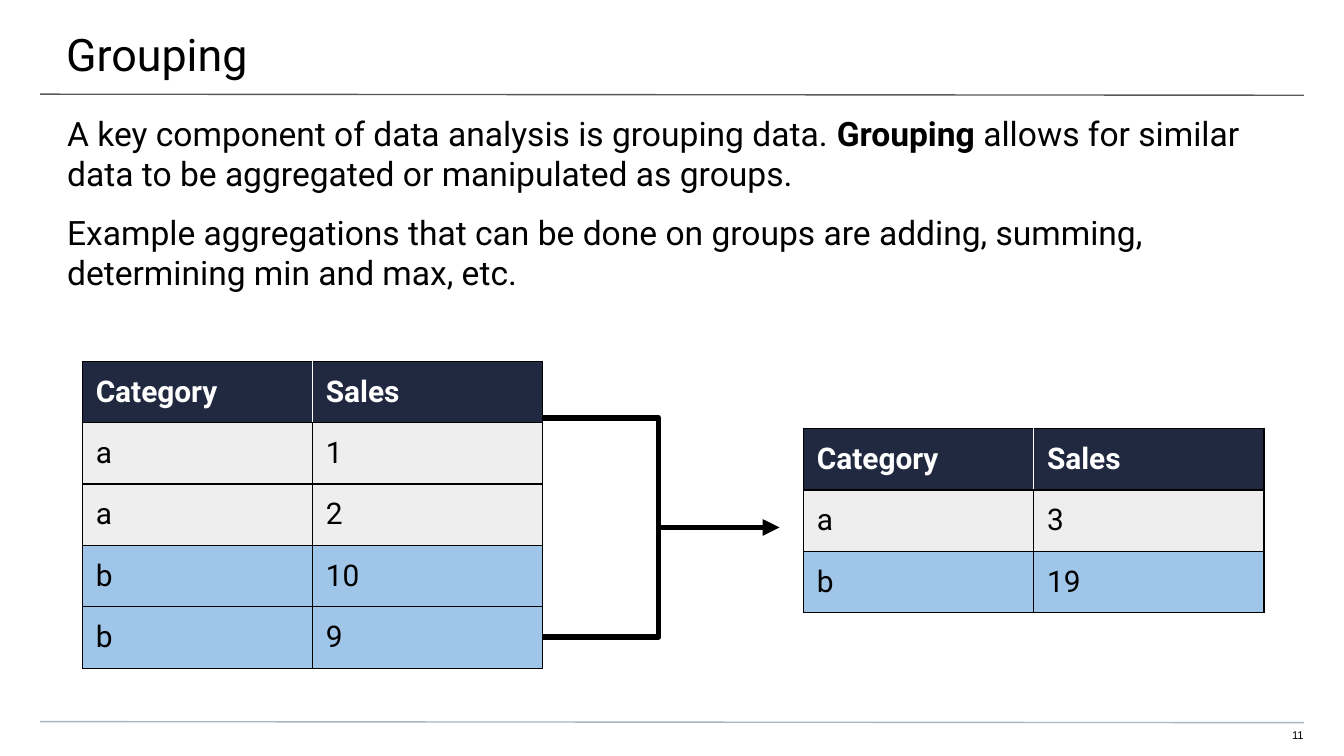
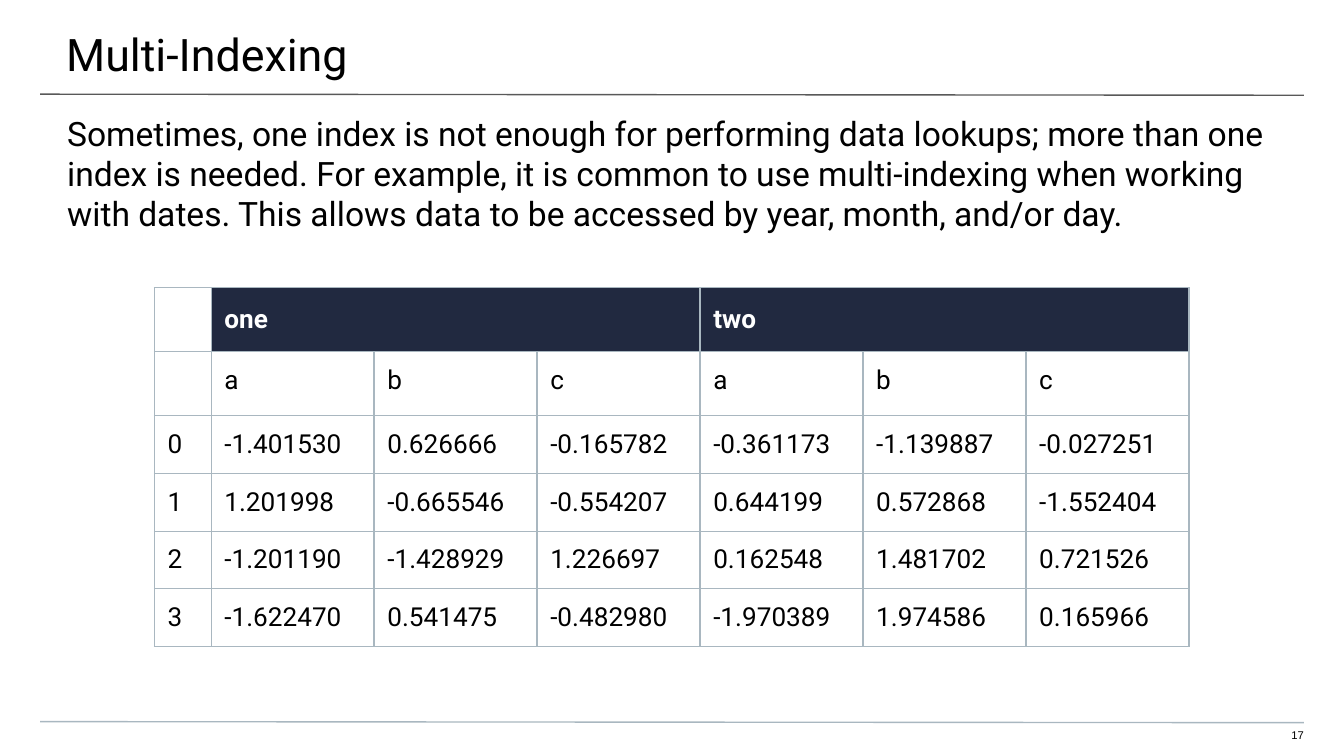
"""Builds two slides on grouping and multi-indexing of data."""
from lxml import etree
from pptx import Presentation
from pptx import util as u
from pptx.dml.color import RGBColor
from pptx.enum import shapes, text
from pptx.oxml import ns

COLOURS = {"ink": "000000", "paper": "FFFFFF", "navy": "212940", "grey": "EEEEEE",
           "blue": "9FC5E8", "title_rule": "595959", "foot_rule": "A9B7C0"}
INSET = 0.25


def rgb(name):
    return RGBColor.from_string(COLOURS[name])


class Deck:
    def __init__(self):
        self.prs = Presentation()
        self.prs.slide_width, self.prs.slide_height = u.Cm(25.4), u.Cm(14.29)
        self.slide = None

    def start(self, title, number):
        self.slide = self.prs.slides.add_slide(self.prs.slide_layouts[5])
        self.line((0.76, 1.78), (24.64, 1.8), "title_rule")
        self.line((0.76, 13.64), (24.64, 13.66), "foot_rule")
        heading = self.slide.shapes.title
        heading.left, heading.top, heading.width, heading.height = map(u.Cm, (-0.02, 0, 25.48, 1.48))
        self.fill_text(heading.text_frame, [[(title, False)]], 24, (1.27, 0.51, 0.76, 0.25))
        self.text((23.9, 13.77, 0.74, 0.3), [[(number, False)]], 6, (0, 0, 0, 0.25),
                  "Arial", text.PP_ALIGN.RIGHT)

    def style(self, paragraph, size, colour="ink", bold=None, font="Roboto"):
        paragraph.font.name = font
        paragraph.font.size = u.Pt(size)
        paragraph.font.color.rgb = rgb(colour)
        paragraph.font.bold = bold

    def fill_text(self, frame, paragraphs, size, insets, font="Roboto", align=text.PP_ALIGN.LEFT):
        frame.word_wrap = True
        frame.auto_size = text.MSO_AUTO_SIZE.NONE
        frame.vertical_anchor = text.MSO_ANCHOR.TOP
        (frame.margin_left, frame.margin_top,
         frame.margin_right, frame.margin_bottom) = map(u.Cm, insets)
        for i, runs in enumerate(paragraphs):
            paragraph = frame.add_paragraph() if i else frame.paragraphs[0]
            paragraph.alignment = align
            if i:
                paragraph.space_before = u.Pt(10)
            self.style(paragraph, size, font=font)
            for words, bold in runs:
                run = paragraph.add_run()
                run.text = words
                if bold:
                    run.font.bold = True

    def text(self, box, paragraphs, size, insets, font="Roboto", align=text.PP_ALIGN.LEFT):
        frame = self.slide.shapes.add_textbox(*map(u.Cm, box)).text_frame
        self.fill_text(frame, paragraphs, size, insets, font, align)

    def body(self, height, paragraphs):
        self.text((0, 1.88, 25.4, height), paragraphs, 18, (1.27, INSET, 1.27, 0))

    def line(self, start, end, colour, width=0.75):
        line = self.slide.shapes.add_connector(shapes.MSO_CONNECTOR.STRAIGHT,
                                               *map(u.Cm, start + end))
        line.line.color.rgb = rgb(colour)
        line.line.width = u.Pt(width)
        etree.SubElement(line._element.spPr, ns.qn("a:effectLst"))
        return line

    def arrow(self, source, start, end):
        arrow = self.line(start, end, "ink", 3)
        arrow.begin_connect(source, 3)
        etree.SubElement(arrow.line._get_or_add_ln(), ns.qn("a:tailEnd"), type="triangle")

    def frame(self, box):
        frame = self.slide.shapes.add_shape(shapes.MSO_SHAPE.RECTANGLE, *map(u.Cm, box))
        frame.shadow.inherit = False
        frame.fill.background()
        frame.line.color.rgb = rgb("ink")
        frame.line.width = u.Pt(3)
        return frame

    def border(self, cell, sides):
        for side, colour in sides.items():
            edge = etree.SubElement(cell._tc.get_or_add_tcPr(), ns.qn(f"a:ln{side}"),
                                    w=str(u.Pt(0.75)))
            fill = etree.SubElement(edge, ns.qn("a:solidFill"))
            etree.SubElement(fill, ns.qn("a:srgbClr"), val=COLOURS[colour])

    def table(self, corner, widths, heights, rows, fills, size, edge, divider, spans=()):
        last = len(widths) - 1
        box = (*corner, sum(widths), sum(heights))
        table = self.slide.shapes.add_table(len(rows), len(widths), *map(u.Cm, box)).table
        table.horz_banding = False
        for column, width in zip(table.columns, widths):
            column.width = u.Cm(width)
        for row, height in zip(table.rows, heights):
            row.height = u.Cm(height)
        for r, (values, row_fills) in enumerate(zip(rows, fills)):
            inner = edge if r else divider
            for c, (value, fill) in enumerate(zip(values, row_fills)):
                cell = table.cell(r, c)
                self.border(cell, {"L": inner if c else edge, "R": inner if c < last else edge,
                                   "T": edge, "B": edge})
                cell.fill.solid()
                cell.fill.fore_color.rgb = rgb(fill)
                cell.margin_left = cell.margin_right = u.Cm(INSET)
                cell.margin_top = cell.margin_bottom = u.Cm(INSET)
                cell.vertical_anchor = text.MSO_ANCHOR.TOP if r else text.MSO_ANCHOR.MIDDLE
                cell.text = value
                self.style(cell.text_frame.paragraphs[0], size,
                           "ink" if r else "paper", r == 0)
        for first, final in spans:
            table.cell(0, first).merge(table.cell(0, final))

    def sales(self, corner, records):
        group_fill = {"a": "grey", "b": "blue"}
        rows = [("Category", "Sales"), *records]
        fills = [["navy"] * 2] + [[group_fill[group]] * 2 for group, _ in records]
        self.table(corner, [4.35] * 2, [1.16] * len(rows), rows, fills, 16, "ink", "paper")


def grouping(deck):
    deck.start("Grouping", "11")
    deck.body(4.24, [
        [("A key component of data analysis is grouping data. ", False), ("Grouping", True),
         (" allows for similar data to be aggregated or manipulated as groups.", False)],
        [("Example aggregations that can be done on groups are adding, summing, "
          "determining min and max, etc.", False)]])
    deck.sales((15.19, 8.1), [("a", "3"), ("b", "19")])
    bracket = deck.frame((10.08, 7.9, 2.37, 4.14))
    deck.arrow(bracket, (12.45, 9.97), (14.73, 9.97))
    deck.sales((1.56, 6.83), [("a", "1"), ("a", "2"), ("b", "10"), ("b", "9")])


def multi_indexing(deck):
    deck.start("Multi-Indexing", "17")
    deck.body(3.18, [[(
        "Sometimes, one index is not enough for performing data lookups; more than one index "
        "is needed. For example, it is common to use multi-indexing when working with dates. "
        "This allows data to be accessed by year, month, and/or day.", False)]])
    rows = [
        ("", "one", "", "", "two", "", ""),
        ("", *"abcabc"),
        ("0", "-1.401530", "0.626666", "-0.165782", "-0.361173", "-1.139887", "-0.027251"),
        ("1", "1.201998", "-0.665546", "-0.554207", "0.644199", "0.572868", "-1.552404"),
        ("2", "-1.201190", "-1.428929", "1.226697", "0.162548", "1.481702", "0.721526"),
        ("3", "-1.622470", "0.541475", "-0.482980", "-1.970389", "1.974586", "0.165966")]
    fills = [["paper"] + ["navy"] * 6] + [["paper"] * 7] * 5
    deck.table((2.92, 5.44), [1.07] + [3.08] * 6, [1.21] * 2 + [1.09] * 4, rows, fills, 14,
               "foot_rule", "foot_rule", [(1, 3), (4, 6)])


def main():
    deck = Deck()
    grouping(deck)
    multi_indexing(deck)
    deck.prs.save("out.pptx")


if __name__ == "__main__":
    main()
